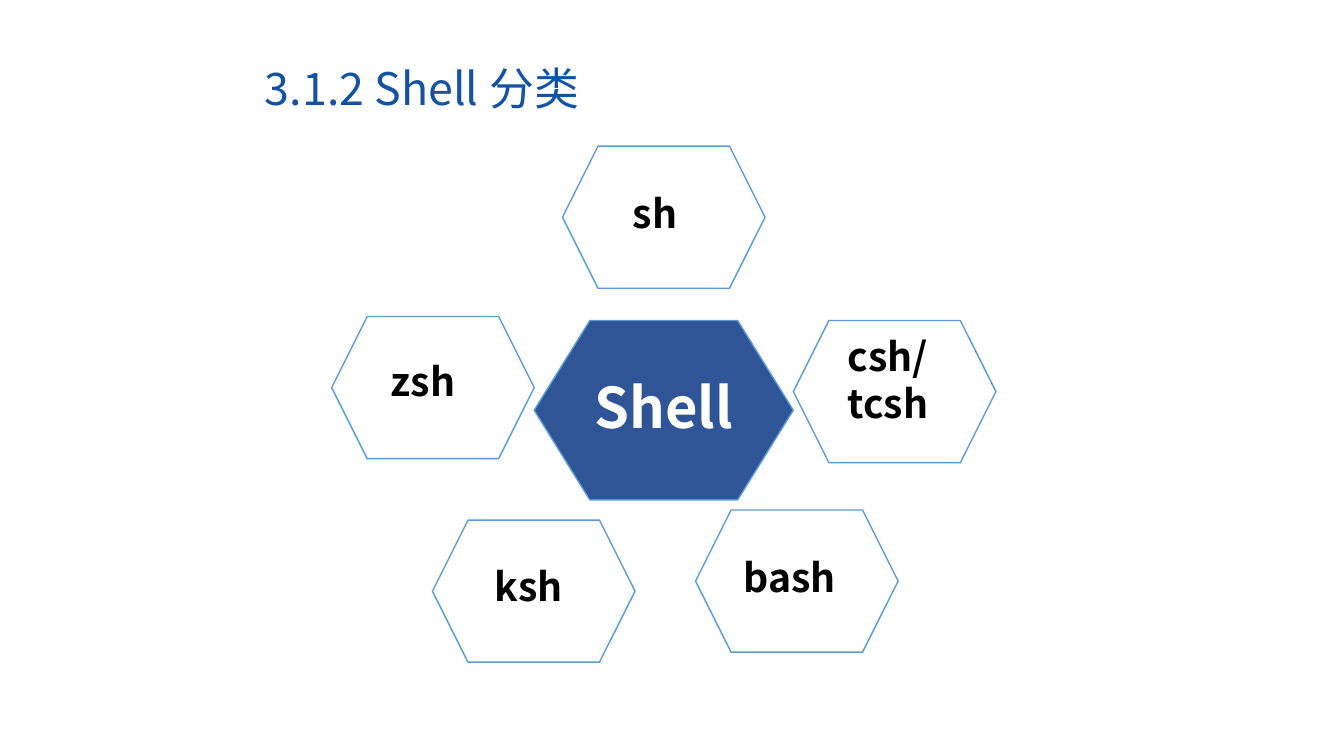
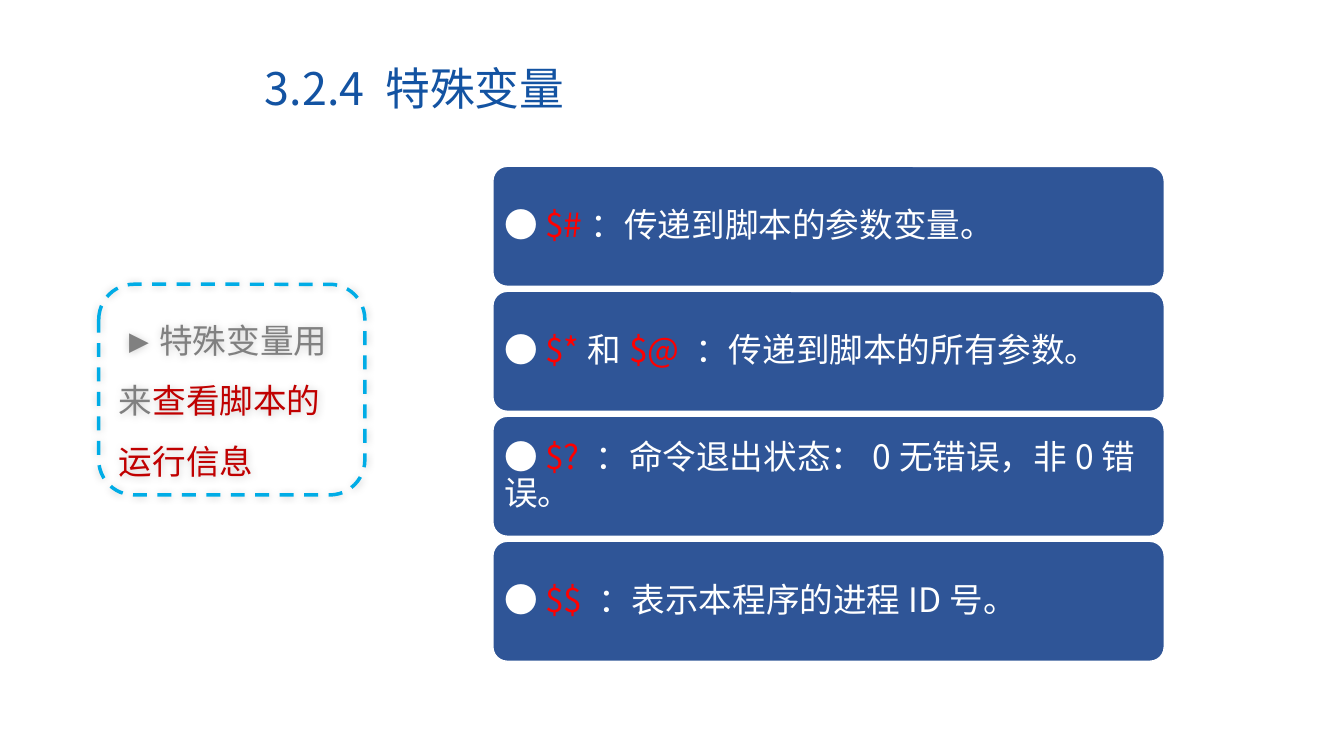
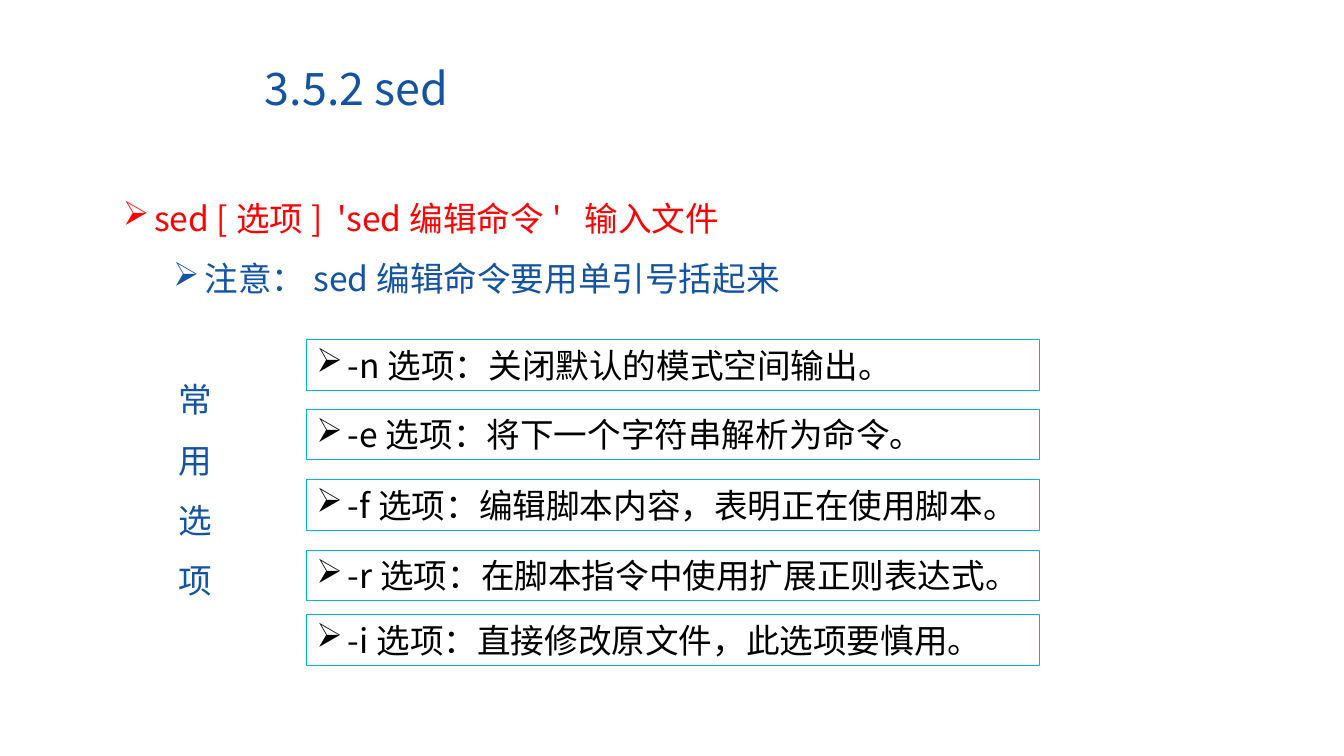
from dataclasses import dataclass
from typing import Any, Optional

from lxml.etree import SubElement
from pptx import Presentation
from pptx.dml.color import RGBColor
from pptx.enum.dml import MSO_LINE_DASH_STYLE as Dash
from pptx.enum.shapes import MSO_SHAPE as Preset
from pptx.enum.text import MSO_ANCHOR as Anchor, PP_ALIGN as Align
from pptx.oxml.ns import qn
from pptx.util import Inches, Length, Pt

# The slide is a grid of square cells, ten to the inch.
CELLS_PER_INCH = 10
COLUMNS, ROWS = 133.33, 75

SANS, MONO = "Noto Sans CJK SC", "Noto Sans Mono"
TITLE_BLUE, PANEL_BLUE = "1353A2", "2F5597"
HEXAGON_EDGE, CALLOUT_EDGE, OPTION_EDGE = "5B9BD5", "00ACE6", "00B0F0"
WHITE, BLACK, GREY = "FFFFFF", "000000", "808080"
RED, DARK_RED = "FF0000", "C00000"
BODY_SIZE = 24
BULLET = "➢"


@dataclass(frozen=True)
class Box:
    column: float
    row: float
    columns: float
    rows: float

    def lengths(self) -> tuple[Length, ...]:
        return tuple(map(cells, (self.column, self.row, self.columns, self.rows)))


@dataclass(frozen=True)
class Span:
    text: str
    color: str
    font: str = SANS


@dataclass(frozen=True)
class Paragraph:
    spans: tuple[Span, ...]
    size: float = BODY_SIZE
    bold: bool = False
    align: Align = Align.LEFT
    spacing: float = 1.0
    after: float = 0
    level: int = 0
    bullet_indent: Optional[float] = None


@dataclass(frozen=True)
class ShellKind:
    """One outer hexagon; the label is placed from the hexagon's corner."""
    lines: tuple[str, ...]
    column: float
    row: float
    label_column: float
    label_row: float


@dataclass(frozen=True)
class SedOption:
    text: str
    row: float


SHELL_KINDS = (
    ShellKind(("zsh",), 32.9, 31.4, 4.9, 3.6),
    ShellKind(("sh",), 55.8, 14.5, 6, 3.8),
    ShellKind(("csh/", "tcsh"), 78.7, 31.8, 4.4, 0.7),
    ShellKind(("bash",), 69, 50.6, 3.8, 3.8),
    ShellKind(("ksh",), 42.9, 51.6, 5.2, 3.7),
)

SPECIAL_VARIABLES = (
    (Span("$#", RED), Span("：传递到脚本的参数变量。", WHITE)),
    (Span("$*", RED), Span("和", WHITE), Span("$@ ", RED),
     Span("：传递到脚本的所有参数。", WHITE)),
    (Span("$? ", RED), Span("：命令退出状态：0无错误，非0错误。", WHITE)),
    (Span("$$ ", RED), Span("：表示本程序的进程ID号。", WHITE)),
)

SED_OPTIONS = (
    SedOption("-n选项：关闭默认的模式空间输出。", 33.7),
    SedOption("-e选项：将下一个字符串解析为命令。", 40.6),
    SedOption("-f选项：编辑脚本内容，表明正在使用脚本。", 47.6),
    SedOption("-r选项：在脚本指令中使用扩展正则表达式。", 54.6),
    SedOption("-i选项：直接修改原文件，此选项要慎用。", 61),
)


def cells(count: float) -> Length:
    return Inches(count / CELLS_PER_INCH)


def rgb(color: str) -> RGBColor:
    return RGBColor.from_string(color)


def write(frame: Any, paragraphs: tuple[Paragraph, ...]) -> None:
    """Fill a text frame, giving Latin and East Asian text the same font."""
    frame.word_wrap = True
    for index, content in enumerate(paragraphs):
        paragraph = frame.paragraphs[0] if index == 0 else frame.add_paragraph()
        if content.bullet_indent is not None:
            properties = paragraph._p.get_or_add_pPr()
            properties.set("marL", str(cells(content.bullet_indent)))
            properties.set("indent", str(cells(-3.1)))
            SubElement(properties, qn("a:buChar"), char=BULLET)
        paragraph.level = content.level
        paragraph.alignment = content.align
        paragraph.line_spacing = content.spacing
        paragraph.space_after = Pt(content.after)
        for span in content.spans:
            run = paragraph.add_run()
            run.text = span.text
            run.font.size = Pt(content.size)
            run.font.bold = content.bold
            run.font.color.rgb = rgb(span.color)
            run.font.name = span.font
            SubElement(run._r.get_or_add_rPr(), qn("a:ea"), typeface=span.font)


def add_text(shapes: Any, box: Box, *paragraphs: Paragraph) -> None:
    write(shapes.add_textbox(*box.lengths()).text_frame, paragraphs)


def add_panel(shapes: Any, preset: Preset, box: Box, edge: str,
              edge_width: float, fill: Optional[str] = None) -> Any:
    panel = shapes.add_shape(preset, *box.lengths())
    panel.shadow.inherit = False
    if fill:
        panel.fill.solid()
        panel.fill.fore_color.rgb = rgb(fill)
    else:
        panel.fill.background()
    panel.line.color.rgb = rgb(edge)
    panel.line.width = Pt(edge_width)
    panel.text_frame.vertical_anchor = Anchor.TOP
    return panel


def set_margins(frame: Any, margin: float) -> None:
    frame.margin_left = frame.margin_right = cells(margin)
    frame.margin_top = frame.margin_bottom = cells(margin)


def add_soft_shadow(panel: Any) -> None:
    effects = panel._element.spPr.find(qn("a:effectLst"))
    shadow = SubElement(effects, qn("a:outerShdw"), blurRad=str(Pt(6)),
                        dist="0", dir="13500000", algn="br", rotWithShape="0")
    color = SubElement(shadow, qn("a:srgbClr"), val=BLACK)
    SubElement(color, qn("a:alpha"), val="20000")


def add_titled_slide(deck: Any, title: str) -> Any:
    shapes = deck.slides.add_slide(deck.slide_layouts[6]).shapes
    add_text(shapes, Box(25.3, 5.5, 56.7, 6.4),
             Paragraph((Span(title, TITLE_BLUE),), size=32))
    return shapes


def add_shell_kind(shapes: Any, kind: ShellKind) -> None:
    group = shapes.add_group_shape().shapes
    add_panel(group, Preset.HEXAGON, Box(kind.column, kind.row, 20.1, 14.1),
              HEXAGON_EDGE, 1, WHITE)
    label = Box(kind.column + kind.label_column, kind.row + kind.label_row,
                14, 1 + 4.7 * len(kind.lines))
    add_text(group, label, *(Paragraph((Span(line, BLACK),), size=28, bold=True)
                             for line in kind.lines))


def build_shell_kinds(deck: Any) -> None:
    shapes = add_titled_slide(deck, "3.1.2 Shell分类")
    core = add_panel(shapes, Preset.HEXAGON, Box(53, 31.8, 25.7, 17.8),
                     HEXAGON_EDGE, 1, PANEL_BLUE)
    core.adjustments[0] = 0.31
    core.text_frame.vertical_anchor = Anchor.MIDDLE
    set_margins(core.text_frame, 0)
    write(core.text_frame,
          (Paragraph((Span("Shell", WHITE),), size=40, bold=True,
                     align=Align.CENTER, spacing=0.9, after=14),))
    for kind in SHELL_KINDS:
        add_shell_kind(shapes, kind)


def build_special_variables(deck: Any) -> None:
    shapes = add_titled_slide(deck, "3.2.4 特殊变量")
    for index, spans in enumerate(SPECIAL_VARIABLES):
        card = add_panel(shapes, Preset.ROUNDED_RECTANGLE,
                         Box(48.9, 16.5 + 12.4 * index, 66.6, 11.9),
                         WHITE, 1, PANEL_BLUE)
        card.adjustments[0] = 0.12
        card.text_frame.vertical_anchor = Anchor.MIDDLE
        set_margins(card.text_frame, 0.7)
        write(card.text_frame,
              (Paragraph((Span("● ", WHITE), *spans), spacing=0.9, after=8.4),))

    callout = add_panel(shapes, Preset.FLOWCHART_ALTERNATE_PROCESS,
                        Box(9.8, 28.2, 26.4, 20.9), CALLOUT_EDGE, 2.5)
    callout.line.dash_style = Dash.DASH
    add_soft_shadow(callout)
    write(callout.text_frame,
          (Paragraph((Span("▶", GREY, MONO), Span("特殊变量用来", GREY),
                      Span("查看脚本的运行信息", DARK_RED)), spacing=1.5),))


def build_sed(deck: Any) -> None:
    shapes = add_titled_slide(deck, "3.5.2 sed")
    for option in SED_OPTIONS:
        panel = add_panel(shapes, Preset.RECTANGLE,
                          Box(30.4, option.row, 72.7, 5), OPTION_EDGE, 0.75)
        write(panel.text_frame,
              (Paragraph((Span(option.text, BLACK),), bullet_indent=3.1),))
    add_text(shapes, Box(11.2, 17.1, 110.9, 12.4),
             Paragraph((Span("sed [选项]  'sed编辑命令'  输入文件", RED),),
                       spacing=1.5, bullet_indent=3.1),
             Paragraph((Span("注意：sed编辑命令要用单引号括起来", TITLE_BLUE),),
                       spacing=1.5, level=1, bullet_indent=8.1))
    add_text(shapes, Box(16.7, 35.1, 5.9, 24.5),
             Paragraph((Span("常用选项", TITLE_BLUE),), spacing=1.5))


def main() -> None:
    deck = Presentation()
    deck.slide_width, deck.slide_height = cells(COLUMNS), cells(ROWS)
    build_shell_kinds(deck)
    build_special_variables(deck)
    build_sed(deck)
    deck.save("out.pptx")


if __name__ == "__main__":
    main()
